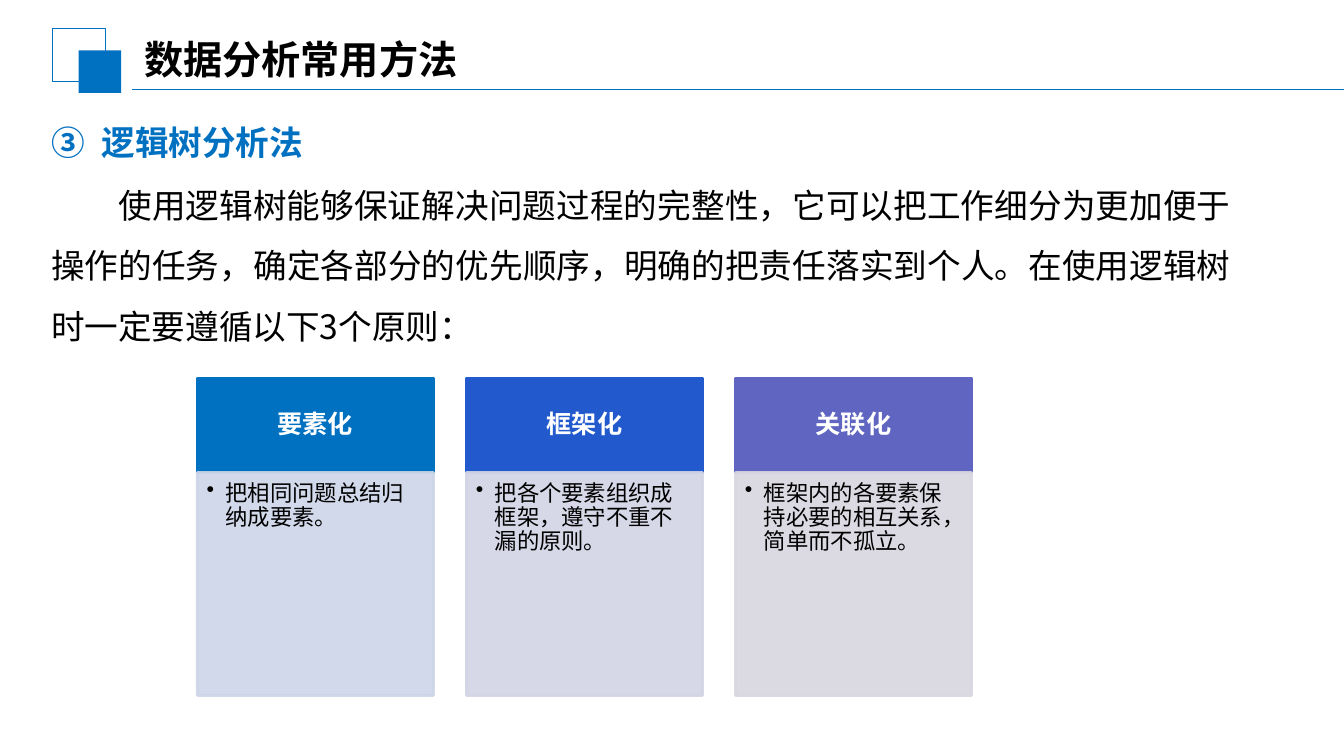
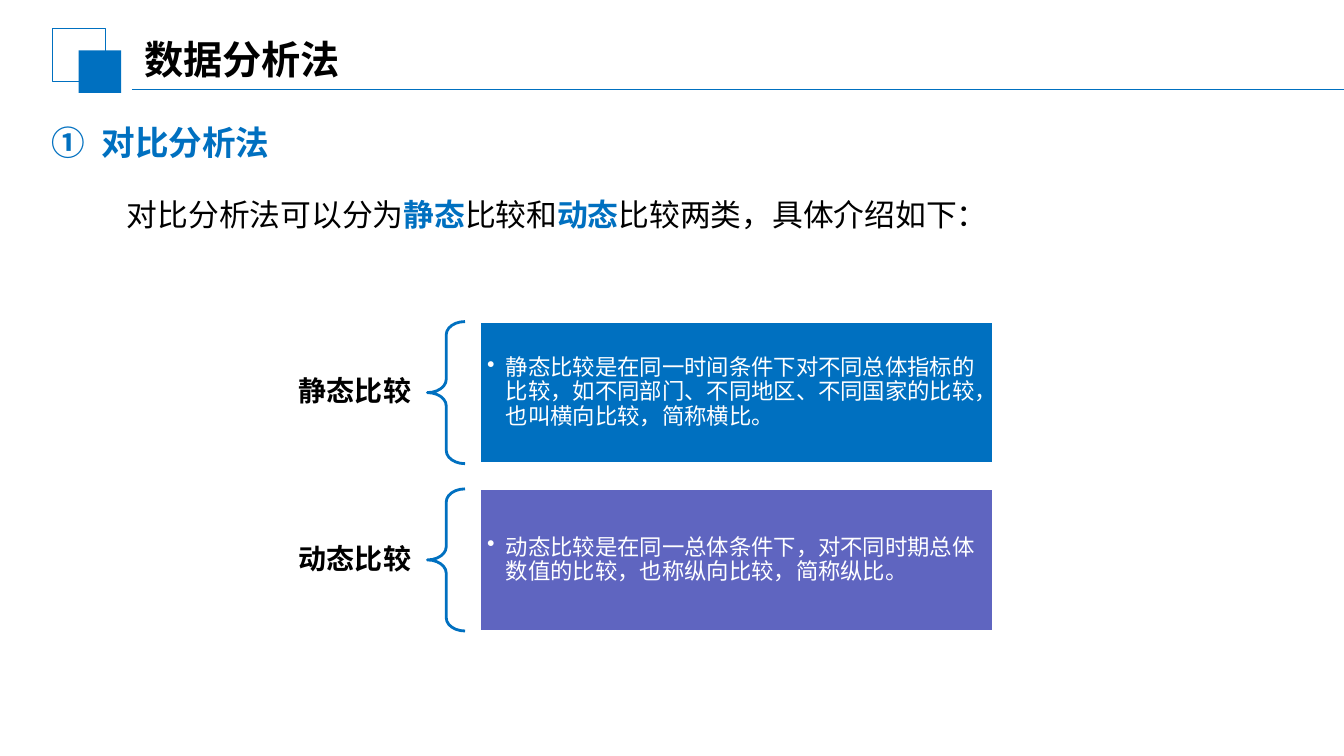
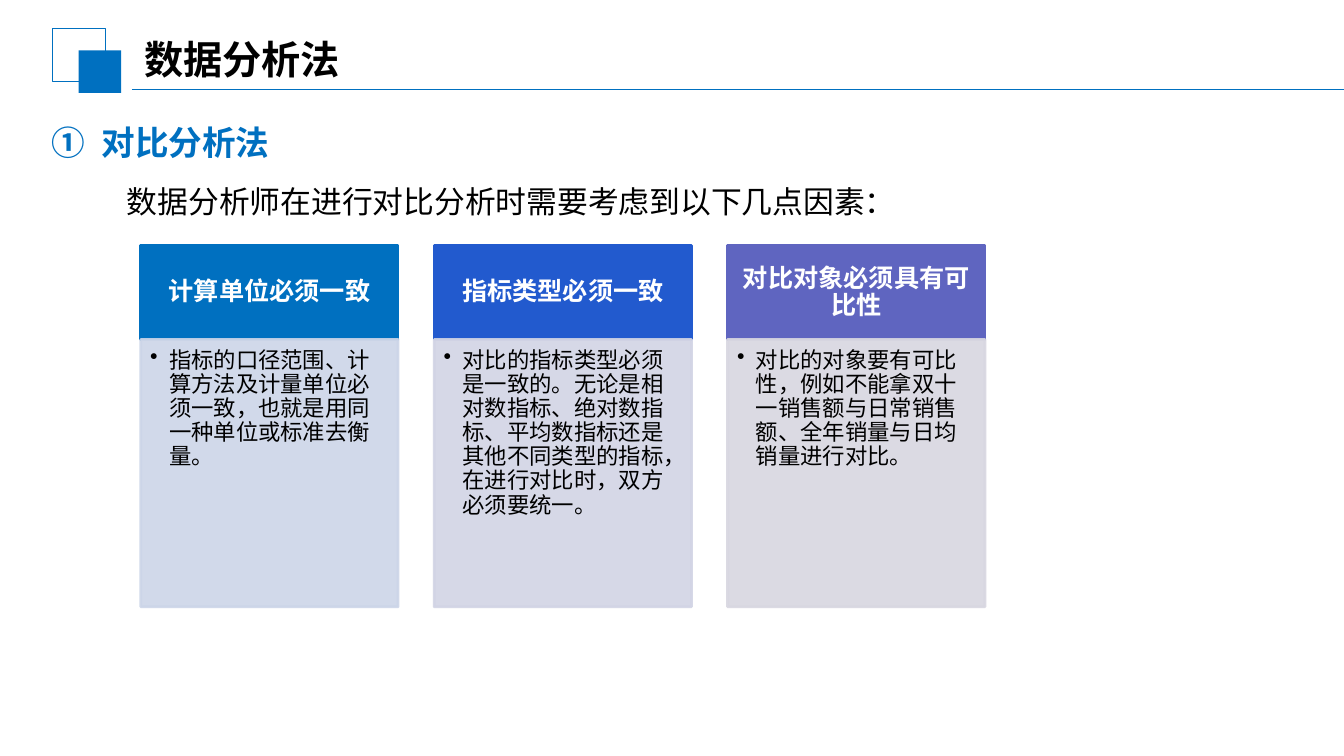
from dataclasses import dataclass
from typing import Optional

from lxml.etree import SubElement
from pptx import Presentation
from pptx.dml.color import RGBColor
from pptx.enum.lang import MSO_LANGUAGE_ID
from pptx.enum.shapes import MSO_CONNECTOR, MSO_SHAPE, PP_PLACEHOLDER
from pptx.enum.text import MSO_ANCHOR, MSO_AUTO_SIZE, PP_ALIGN
from pptx.oxml.ns import qn
from pptx.shapes.autoshape import Shape
from pptx.slide import Slide, SlideLayout
from pptx.text.text import TextFrame
from pptx.util import Pt

BLUE = RGBColor(0x00, 0x70, 0xC0)
ROYAL = RGBColor(0x22, 0x5A, 0xCE)
VIOLET = RGBColor(0x5F, 0x65, 0xC0)
PALE_BLUE = RGBColor(0xCC, 0xD5, 0xE8)
PALE_ROYAL = RGBColor(0xD2, 0xD4, 0xE5)
PALE_VIOLET = RGBColor(0xD8, 0xD7, 0xE1)
BLACK = RGBColor(0x00, 0x00, 0x00)
WHITE = RGBColor(0xFF, 0xFF, 0xFF)

CJK_FONT = "Noto Sans CJK SC"
TITLE_FONT = "Calibri"
CARD_COLORS = ((BLUE, PALE_BLUE), (ROYAL, PALE_ROYAL), (VIOLET, PALE_VIOLET))
SLIDE_WIDTH = 960
SLIDE_HEIGHT = 540


@dataclass(frozen=True)
class Box:
    left: float
    top: float
    width: float
    height: float

    def lengths(self) -> tuple[Pt, Pt, Pt, Pt]:
        return Pt(self.left), Pt(self.top), Pt(self.width), Pt(self.height)


@dataclass(frozen=True)
class Style:
    size: float
    color: RGBColor = BLACK
    bold: bool = False
    font: str = CJK_FONT
    align: PP_ALIGN = PP_ALIGN.LEFT
    spacing: Optional[float] = None
    margin_left: float = 0
    indent: float = 0
    bullet: bool = False
    number: Optional[int] = None


@dataclass(frozen=True)
class Segment:
    text: str
    strong: bool = False


@dataclass(frozen=True)
class Card:
    heading: str
    body: str


@dataclass(frozen=True)
class CardGrid:
    left: float
    top: float
    width: float
    step: float
    header_height: float
    body_height: float


@dataclass(frozen=True)
class Comparison:
    label: str
    body: str
    color: RGBColor


def write(frame: TextFrame, segments: list[Segment], style: Style) -> None:
    paragraph = frame.paragraphs[0]
    properties = paragraph._p.get_or_add_pPr()
    properties.set("marL", str(Pt(style.margin_left)))
    properties.set("indent", str(Pt(style.indent)))
    if style.bullet:
        SubElement(properties, qn("a:buChar"), char="•")
    if style.number:
        SubElement(properties, qn("a:buFont"), typeface=CJK_FONT)
        SubElement(properties, qn("a:buAutoNum"), type="circleNumDbPlain", startAt=str(style.number))
        tabs = SubElement(properties, qn("a:tabLst"))
        SubElement(tabs, qn("a:tab"), pos=str(Pt(style.margin_left)), algn="l")
    paragraph.alignment = style.align
    if style.spacing:
        paragraph.line_spacing = style.spacing
    font = paragraph.font
    font.size = Pt(style.size)
    font.bold = style.bold
    font.color.rgb = style.color
    font.name = style.font
    font.language_id = MSO_LANGUAGE_ID.SIMPLIFIED_CHINESE
    SubElement(properties.find(qn("a:defRPr")), qn("a:ea"), typeface=CJK_FONT)
    for segment in segments:
        run = paragraph.add_run()
        run.text = segment.text
        if segment.strong:
            run.font.bold = True
            run.font.color.rgb = BLUE


def set_frame(frame: TextFrame, margins: tuple[float, float, float, float], anchor: MSO_ANCHOR) -> None:
    frame.word_wrap = True
    frame.vertical_anchor = anchor
    frame.margin_left, frame.margin_top, frame.margin_right, frame.margin_bottom = map(Pt, margins)


def add_text(slide: Slide, box: Box, segments: list[Segment], style: Style) -> None:
    frame = slide.shapes.add_textbox(*box.lengths()).text_frame
    frame.word_wrap = True
    frame.auto_size = MSO_AUTO_SIZE.SHAPE_TO_FIT_TEXT
    write(frame, segments, style)


def add_figure(
    slide: Slide,
    box: Box,
    fill: Optional[RGBColor] = None,
    line: Optional[RGBColor] = None,
    line_width: float = 2,
    kind: MSO_SHAPE = MSO_SHAPE.RECTANGLE,
    opacity: int = 100,
) -> Shape:
    shape = slide.shapes.add_shape(kind, *box.lengths())
    shape.shadow.inherit = False
    if fill is None:
        shape.fill.background()
    else:
        shape.fill.solid()
        shape.fill.fore_color.rgb = fill
    if line is None:
        shape.line.fill.background()
    else:
        shape.line.color.rgb = line
        shape.line.width = Pt(line_width)
    if opacity < 100:
        for color in shape.element.spPr.iter(qn("a:srgbClr")):
            SubElement(color, qn("a:alpha"), val=str(opacity * 1000))
    return shape


def decorate_layout(layout: SlideLayout, slide: Slide) -> None:
    for placeholder in list(layout.placeholders):
        if placeholder.placeholder_format.type != PP_PLACEHOLDER.TITLE:
            layout.shapes.element.remove(placeholder.element)
    frame_square = add_figure(slide, Box(37.4, 20.3, 37.8, 38), line=BLUE, line_width=0.75)
    solid_square = add_figure(slide, Box(56.2, 36, 30.4, 30.4), fill=BLUE)
    rule = slide.shapes.add_connector(MSO_CONNECTOR.STRAIGHT, Pt(94.3), Pt(64), Pt(SLIDE_WIDTH), Pt(64))
    rule.line.color.rgb = BLUE
    rule.line.width = Pt(1.25)
    SubElement(rule.element.spPr, qn("a:effectLst"))
    for shape in (frame_square, solid_square, rule):
        layout.shapes.element.append(shape.element)


def add_headings(slide: Slide, title: str, topic: str, number: int) -> None:
    placeholder = slide.shapes.title
    box = Box(93.6, 20.9, 380.9, 41.8)
    placeholder.left, placeholder.top, placeholder.width, placeholder.height = box.lengths()
    set_frame(placeholder.text_frame, (9.4, 5, 9.4, 5), MSO_ANCHOR.MIDDLE)
    write(placeholder.text_frame, [Segment(title)], Style(28, bold=True, font=TITLE_FONT))
    style = Style(24, BLUE, True, margin_left=36, indent=-36, number=number)
    add_text(slide, Box(29.5, 83.5, 292.3, 36), [Segment(topic)], style)


def add_introduction(slide: Slide, box: Box, segments: list[Segment], size: float) -> None:
    style = Style(size, align=PP_ALIGN.JUSTIFY, spacing=1.5, indent=2 * size)
    add_text(slide, box, segments, style)


def bullet_style(color: RGBColor) -> Style:
    return Style(16, color, spacing=0.9, margin_left=13.5, indent=-13.5, bullet=True)


def add_cards(slide: Slide, grid: CardGrid, cards: list[Card]) -> None:
    heading_style = Style(18, WHITE, True, align=PP_ALIGN.CENTER, spacing=0.9)
    for index, (card, (strong, pale)) in enumerate(zip(cards, CARD_COLORS)):
        left = grid.left + index * grid.step
        header_box = Box(left, grid.top, grid.width, grid.header_height)
        header = add_figure(slide, header_box, strong, strong)
        set_frame(header.text_frame, (10.1, 5.8, 10.1, 5.8), MSO_ANCHOR.MIDDLE)
        write(header.text_frame, [Segment(card.heading)], heading_style)
        body_box = Box(left, grid.top + grid.header_height, grid.width, grid.body_height)
        body = add_figure(slide, body_box, pale, pale, opacity=90)
        set_frame(body.text_frame, (6.7, 6.7, 9, 10.1), MSO_ANCHOR.TOP)
        write(body.text_frame, [Segment(card.body)], bullet_style(BLACK))


def add_comparisons(slide: Slide, comparisons: list[Comparison]) -> None:
    label_style = Style(20, bold=True, align=PP_ALIGN.RIGHT, spacing=0.9)
    height = 101.5
    for index, comparison in enumerate(comparisons):
        top = 229.7 + index * 119.5
        label = slide.shapes.add_textbox(*Box(170.6, top, 134.6, height).lengths())
        set_frame(label.text_frame, (11.5, 4.3, 11.5, 4.3), MSO_ANCHOR.MIDDLE)
        write(label.text_frame, [Segment(comparison.label)], label_style)
        brace_box = Box(305.3, top, 26.9, height)
        brace = add_figure(slide, brace_box, line=BLUE, kind=MSO_SHAPE.LEFT_BRACE)
        brace.adjustments[0] = 0.35
        body = add_figure(slide, Box(342.9, top, 366.5, height), comparison.color, WHITE)
        set_frame(body.text_frame, (5, 5, 5, 5), MSO_ANCHOR.MIDDLE)
        write(body.text_frame, [Segment(comparison.body)], bullet_style(WHITE))


def build_logic_tree(slide: Slide) -> None:
    add_headings(slide, "数据分析常用方法", "逻辑树分析法", 3)
    introduction = (
        "使用逻辑树能够保证解决问题过程的完整性，它可以把工作细分为更加便于操作的任务，"
        "确定各部分的优先顺序，明确的把责任落实到个人。在使用逻辑树时一定要遵循以下3个原则："
    )
    add_introduction(slide, Box(29.5, 113.8, 856.8, 138.2), [Segment(introduction)], 24)
    cards = [
        Card("要素化", "把相同问题总结归纳成要素。"),
        Card("框架化", "把各个要素组织成框架，遵守不重不漏的原则。"),
        Card("关联化", "框架内的各要素保持必要的相互关系，简单而不孤立。"),
    ]
    add_cards(slide, CardGrid(141, 270, 168.6, 192.2, 67.5, 159.3), cards)


def build_comparison_types(slide: Slide) -> None:
    add_headings(slide, "数据分析法", "对比分析法", 1)
    introduction = [
        Segment("对比分析法可以分为"),
        Segment("静态", strong=True),
        Segment("比较和"),
        Segment("动态", strong=True),
        Segment("比较两类，具体介绍如下："),
    ]
    add_introduction(slide, Box(39.6, 123.1, 887.8, 46.8), introduction, 22)
    comparisons = [
        Comparison(
            "静态比较",
            "静态比较是在同一时间条件下对不同总体指标的比较，如不同部门、不同地区、"
            "不同国家的比较，也叫横向比较，简称横比。",
            BLUE,
        ),
        Comparison(
            "动态比较",
            "动态比较是在同一总体条件下，对不同时期总体数值的比较，也称纵向比较，简称纵比。",
            VIOLET,
        ),
    ]
    add_comparisons(slide, comparisons)


def build_comparison_factors(slide: Slide) -> None:
    add_headings(slide, "数据分析法", "对比分析法", 1)
    introduction = [Segment("数据分析师在进行对比分析时需要考虑到以下几点因素：")]
    add_introduction(slide, Box(39.6, 113.8, 835.9, 46.8), introduction, 22)
    cards = [
        Card(
            "计算单位必须一致",
            "指标的口径范围、计算方法及计量单位必须一致，也就是用同一种单位或标准去衡量。",
        ),
        Card(
            "指标类型必须一致",
            "对比的指标类型必须是一致的。无论是相对数指标、绝对数指标、平均数指标"
            "还是其他不同类型的指标，在进行对比时，双方必须要统一。",
        ),
        Card(
            "对比对象必须具有可比性",
            "对比的对象要有可比性，例如不能拿双十一销售额与日常销售额、全年销量与日均销量进行对比。",
        ),
    ]
    add_cards(slide, CardGrid(100.6, 175.5, 183.8, 209.6, 67, 191), cards)


def main() -> None:
    presentation = Presentation()
    presentation.slide_width = Pt(SLIDE_WIDTH)
    presentation.slide_height = Pt(SLIDE_HEIGHT)
    layout = presentation.slide_layouts[5]
    builders = (build_logic_tree, build_comparison_types, build_comparison_factors)
    slides = [presentation.slides.add_slide(layout) for _ in builders]
    decorate_layout(layout, slides[0])
    for slide, build in zip(slides, builders):
        build(slide)
    presentation.save("out.pptx")


if __name__ == "__main__":
    main()
